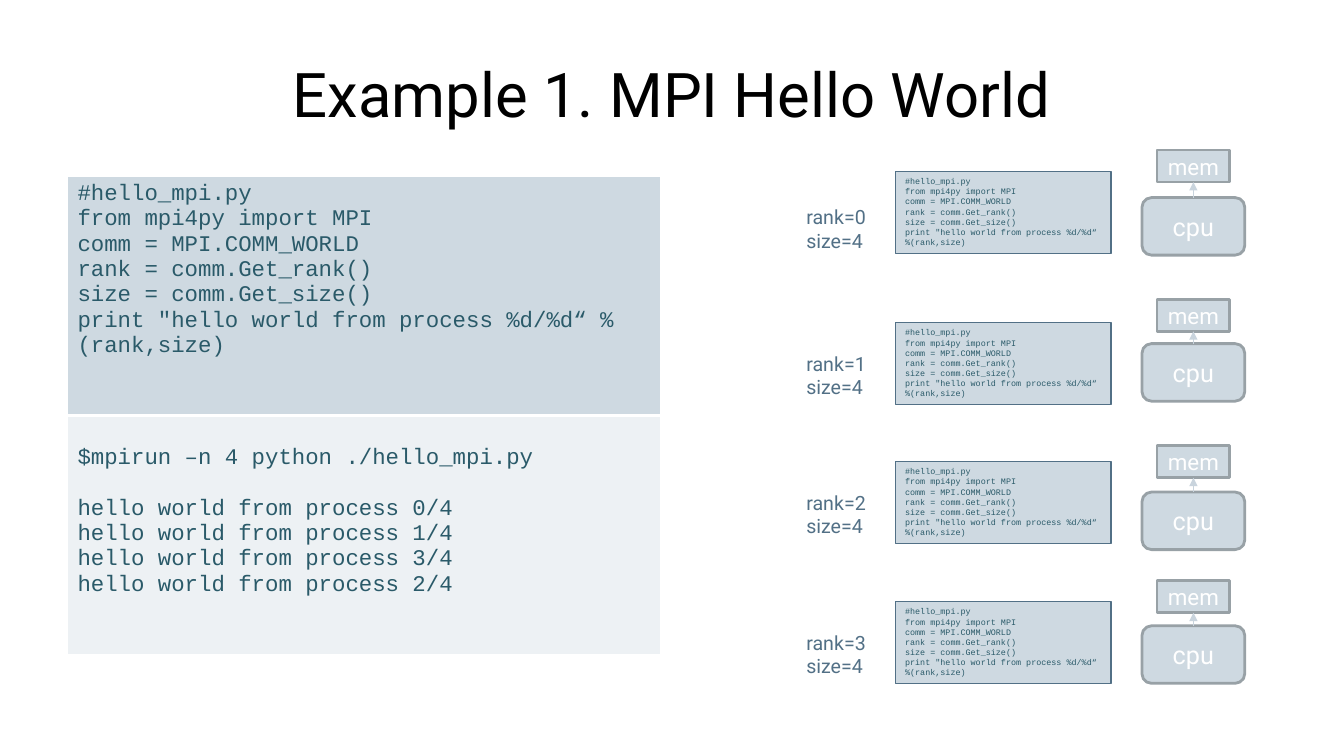
from lxml.etree import SubElement
from pptx import Presentation
from pptx.dml.color import RGBColor
from pptx.enum.shapes import MSO_CONNECTOR, MSO_SHAPE
from pptx.enum.text import MSO_ANCHOR, MSO_AUTO_SIZE, PP_ALIGN
from pptx.oxml import parse_xml
from pptx.oxml.ns import nsdecls, qn
from pptx.util import Cm, Pt

SANS, MONO = "Roboto", "Courier New"
PALE, TEAL, BLUE, WHITE = "CED9E1", "2A5A69", "527086", "FFFFFF"
CODE = [
    "#hello_mpi.py",
    "from mpi4py import MPI",
    "comm = MPI.COMM_WORLD",
    "rank = comm.Get_rank()",
    "size = comm.Get_size()",
    'print "hello world from process %d/%d“ %(rank,size)',
]
RUN = ["$mpirun –n 4 python ./hello_mpi.py"] + [
    f"hello world from process {rank}/4" for rank in (0, 1, 3, 2)
]
NODES = [
    (3.78, 1.27, 0.54, 1.20),
    (7.54, 1.20, 0.59, 1.12),
    (11.23, 1.01, 0.40, 1.17),
    (14.63, 1.14, 0.53, 1.14),
]


def color(code):
    """Turn a hex string into a colour."""
    return RGBColor.from_string(code)


def write(frame, lines, size, font, ink, align=PP_ALIGN.LEFT):
    """Fill a text frame with one paragraph per line."""
    frame.word_wrap = True
    for i, line in enumerate(lines):
        para = frame.add_paragraph() if i else frame.paragraphs[0]
        para.text = line
        para.alignment = align
        para.font.size = Pt(size)
        para.font.name = font
        para.font.color.rgb = color(ink)


def label(slide, box, lines, size, ink, align=PP_ALIGN.LEFT):
    """Add a text box and return its frame."""
    frame = slide.shapes.add_textbox(*map(Cm, box)).text_frame
    write(frame, lines, size, SANS, ink, align)
    return frame


def block(slide, kind, box, edge, width):
    """Add a pale shape with an outline."""
    shape = slide.shapes.add_shape(kind, *map(Cm, box))
    shape.shadow.inherit = False
    shape.fill.solid()
    shape.fill.fore_color.rgb = color(PALE)
    shape.line.color.rgb = color(edge)
    shape.line.width = Pt(width)
    return shape


def unit(slide, kind, box, name, size):
    """Add a hardware shape with a centred name."""
    shape = block(slide, kind, box, "98A1A6", 2)
    frame = shape.text_frame
    write(frame, [name], size, SANS, WHITE, PP_ALIGN.CENTER)
    frame.vertical_anchor = MSO_ANCHOR.MIDDLE
    return shape


def arrow(slide, start, end):
    """Join the top of one shape to the bottom of another."""
    line = slide.shapes.add_connector(MSO_CONNECTOR.STRAIGHT, 0, 0, 0, 0)
    line.begin_connect(start, 0)
    line.end_connect(end, 2)
    line.line.color.rgb = color("C9D4DD")
    line.line.width = Pt(0.75)
    SubElement(line.line._get_or_add_ln(), qn("a:tailEnd"), type="triangle")
    SubElement(line._element.spPr, qn("a:effectLst"))


def border(cell, widths):
    """Draw white cell borders: left, right, top, bottom."""
    props = cell._tc.get_or_add_tcPr()
    for i, (side, width) in enumerate(zip("LRTB", widths)):
        props.insert(i, parse_xml(
            f'<a:ln{side} {nsdecls("a")} w="{Pt(width)}"><a:solidFill>'
            f'<a:srgbClr val="{WHITE}"/></a:solidFill></a:ln{side}>'))


def listing(slide, left, top, width, height):
    """Build the table with the program above its output."""
    table = slide.shapes.add_table(
        2, 1, *map(Cm, (left, top, width, height))).table
    table.first_row = table.horz_banding = False
    rows = [(CODE, PALE, (1, 1, 1, 3)), (RUN, "EDF1F4", (1, 1, 3, 1))]
    for i, (lines, fill, widths) in enumerate(rows):
        cell = table.cell(i, 0)
        cell.fill.solid()
        cell.fill.fore_color.rgb = color(fill)
        border(cell, widths)
        write(cell.text_frame, lines, 16, MONO, TEAL)
    cell.margin_top = Cm(0.77)
    cell.text_frame.paragraphs[1].space_before = Pt(18)


def node(slide, left, top, rank, drops):
    """Build one process: its rank, its program and its hardware."""
    text, code, chip = (top + drop for drop in drops)
    cpu = unit(slide, MSO_SHAPE.ROUNDED_RECTANGLE,
               (left + 8.71, chip, 2.59, 1.45), "cpu", 18)
    mem = unit(slide, MSO_SHAPE.RECTANGLE,
               (left + 9.09, top, 1.83, 0.81), "mem", 16)
    arrow(slide, cpu, mem)
    frame = block(slide, MSO_SHAPE.RECTANGLE,
                  (left + 2.49, code, 5.44, 2.06), BLUE, 0.75).text_frame
    write(frame, CODE, 6, MONO, TEAL)
    frame.vertical_anchor = MSO_ANCHOR.TOP
    frame.auto_size = MSO_AUTO_SIZE.SHAPE_TO_FIT_TEXT
    frame = label(slide, (left, text, 2.64, 1.45),
                  [f"rank={rank}", "size=4"], 14, BLUE)
    frame.auto_size = MSO_AUTO_SIZE.SHAPE_TO_FIT_TEXT


def main():
    """Build and save the slide."""
    deck = Presentation()
    deck.slide_width, deck.slide_height = Cm(33.87), Cm(19.05)
    slide = deck.slides.add_slide(deck.slide_layouts[6])
    title = label(slide, (1.7, 0.76, 30.48, 3.18),
                  ["Example 1. MPI Hello World"], 44, "000000",
                  PP_ALIGN.CENTER)
    title.vertical_anchor = MSO_ANCHOR.MIDDLE
    listing(slide, 1.7, 4.45, 14.96, 12.04)
    for rank, (top, *drops) in enumerate(NODES):
        node(slide, 20.07, top, rank, drops)
    deck.save("out.pptx")


if __name__ == "__main__":
    main()
